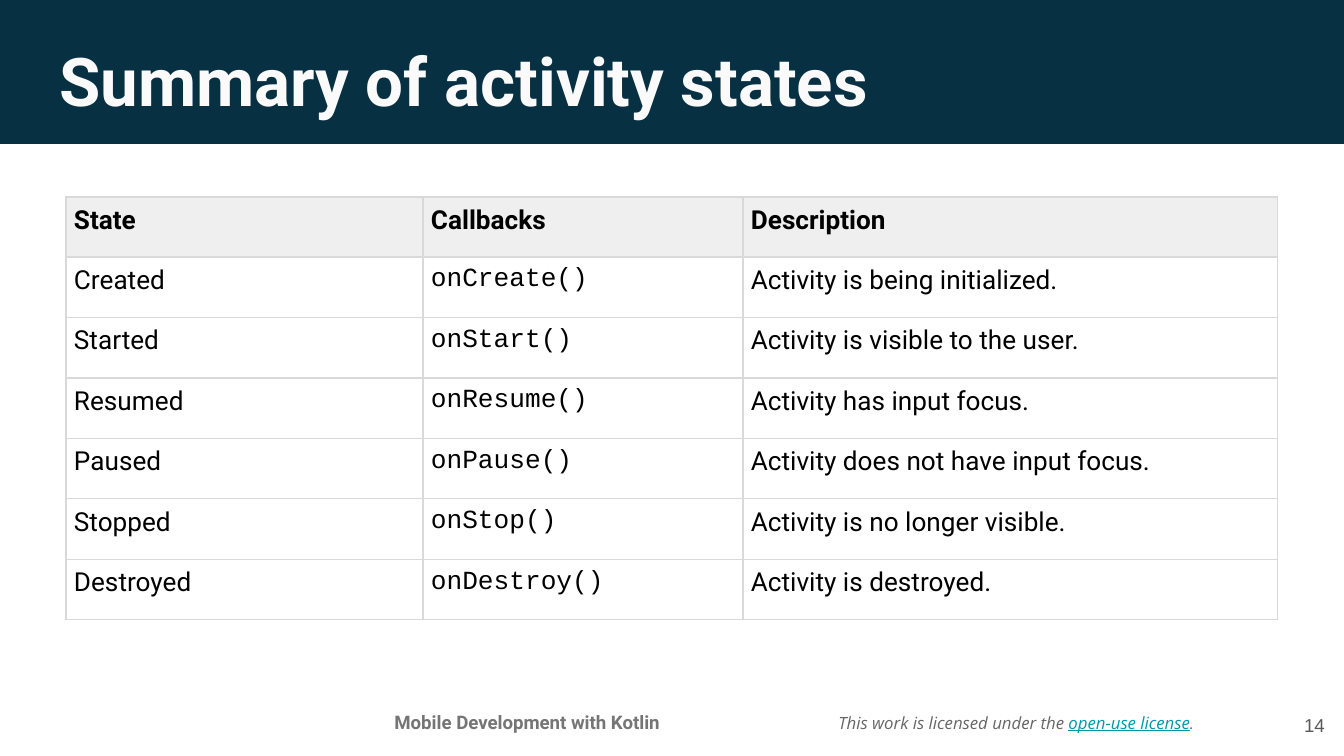
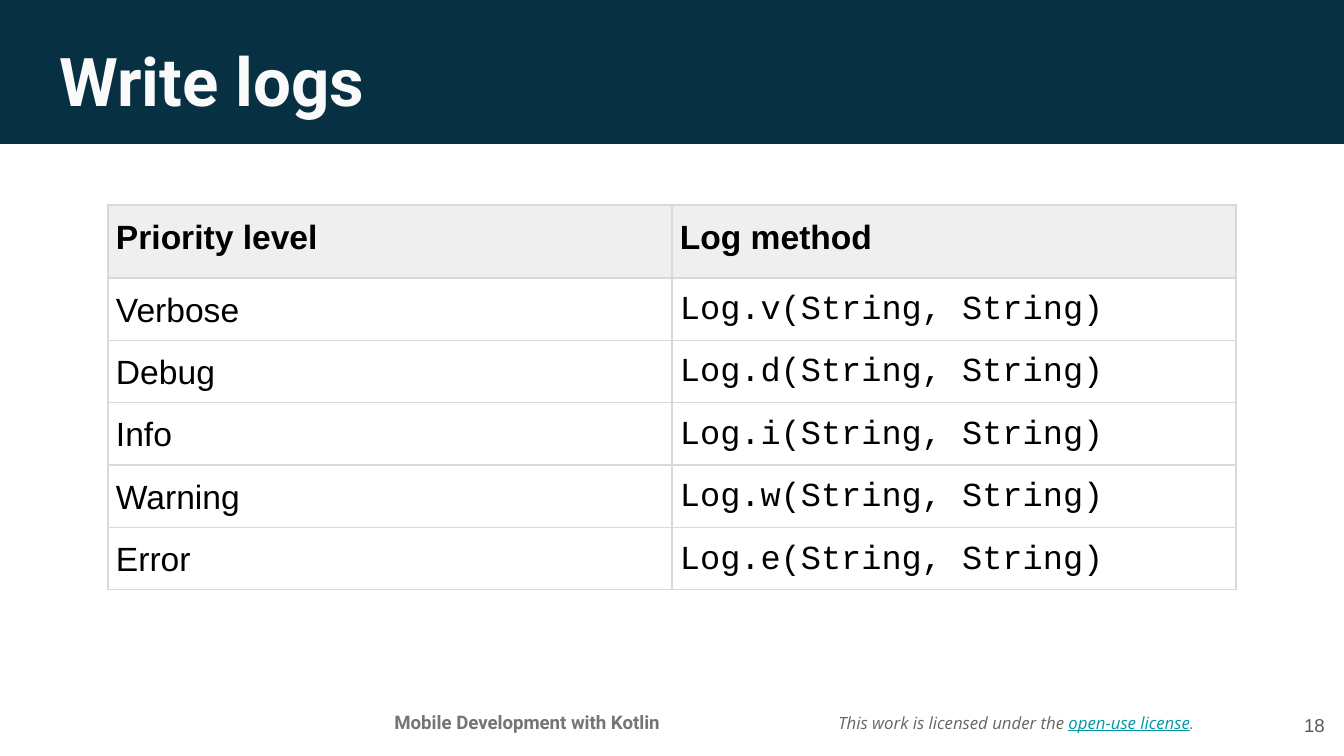
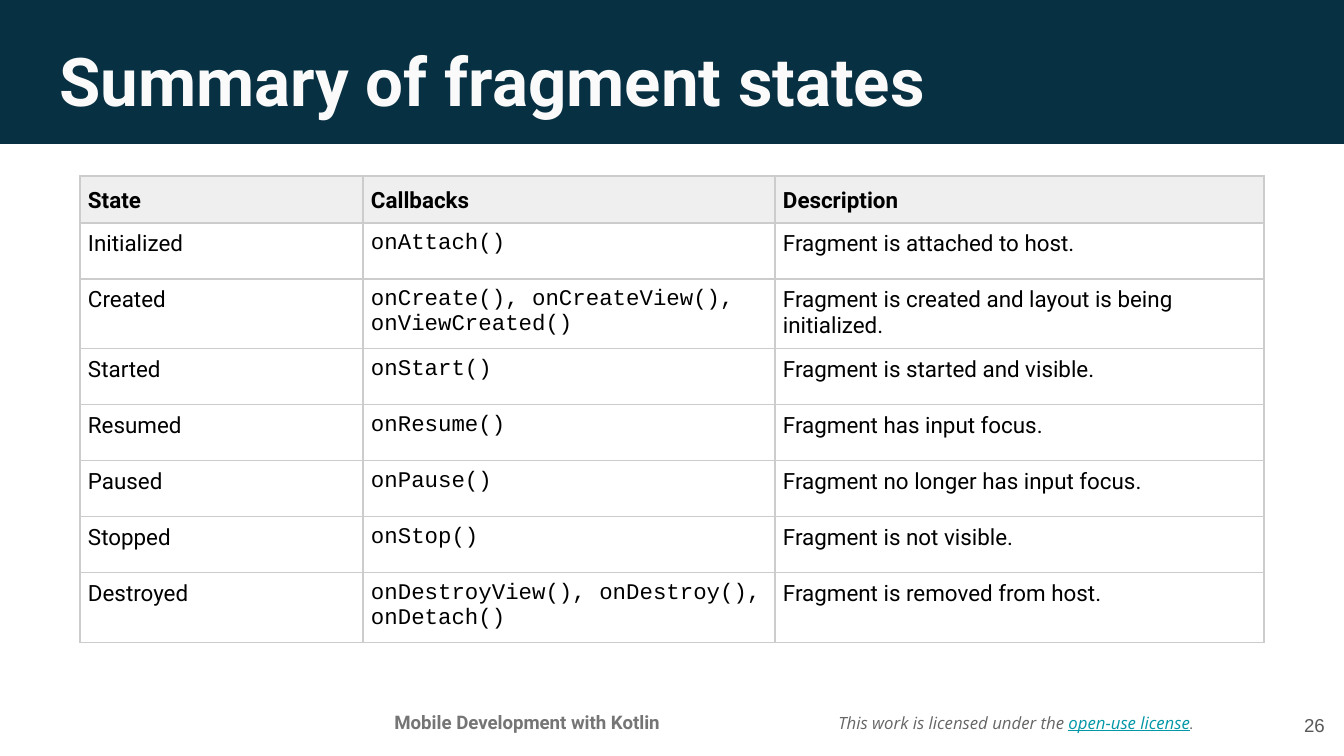
from lxml import etree
from pptx import Presentation, util as u
from pptx.dml.color import RGBColor
from pptx.enum import shapes, text
from pptx.oxml.ns import qn

EMU_PER_PX = 914400 / 134.4
SLIDE_W, SLIDE_H = 1344, 756

NAVY, OFF_WHITE, BLACK = "073042", "FAFAFA", "000000"
HEADER_FILL, GREY, FOOTER_GREY, NUMBER_GREY = "EFEFEF", "666666", "757575", "595959"
LINK = "0097A7"
SANS, MONO, PLAIN, NOTE = "Roboto", "Courier New", "Arial", "Open Sans"

TITLE = dict(name=SANS, size=36, color=OFF_WHITE, bold=True)
COURSE = dict(name=SANS, size=10, color=FOOTER_GREY, bold=True)
NUMBER = dict(name=PLAIN, size=10, color=NUMBER_GREY)
LICENSE = dict(name=NOTE, size=9, color=GREY, italic=True)

BAND_BOX = (-1, -5, 1346, 149)
TITLE_BOX = (46, 26, 1253, 85)
COURSE_BOX = (337, 700, 380, 43)
LICENSE_BOX = (825, 691, 395, 63)
NUMBER_BOX = (1257, 696, 81, 58)


def px(length):
    return u.Emu(round(length * EMU_PER_PX))


def rgb(color):
    return RGBColor.from_string(color)


def add_run(paragraph, words, style):
    run = paragraph.add_run()
    run.text = words
    for key, value in style.items():
        if key == "color":
            run.font.color.rgb = rgb(value)
        else:
            setattr(run.font, key, u.Pt(value) if key == "size" else value)


def add_label(slide, box, runs, align=text.PP_ALIGN.LEFT, anchor=text.MSO_ANCHOR.TOP):
    """Add a one-paragraph text box; runs are (words, style) pairs."""
    frame = slide.shapes.add_textbox(*map(px, box)).text_frame
    frame.word_wrap = True
    frame.vertical_anchor = anchor
    for side in ("left", "right", "top", "bottom"):
        setattr(frame, f"margin_{side}", u.Inches(0.1))
    paragraph = frame.paragraphs[0]
    paragraph.alignment = align
    for words, style in runs:
        add_run(paragraph, words, style)


def add_title_band(slide, title):
    band = slide.shapes.add_shape(shapes.MSO_SHAPE.RECTANGLE, *map(px, BAND_BOX))
    band.shadow.inherit = False
    band.fill.solid()
    band.fill.fore_color.rgb = rgb(NAVY)
    band.line.fill.background()
    add_label(slide, TITLE_BOX, [(title, TITLE)])


def add_footer(slide, number):
    middle = text.MSO_ANCHOR.MIDDLE
    add_label(slide, COURSE_BOX, [("Mobile Development with Kotlin", COURSE)],
              text.PP_ALIGN.CENTER)
    add_label(slide, LICENSE_BOX, [
        ("This work is licensed under the ", LICENSE),
        ("open-use license", LICENSE | dict(color=LINK, underline=True)),
        (".", LICENSE | dict(name=SANS)),
    ], anchor=middle)
    add_label(slide, NUMBER_BOX, [(str(number), NUMBER)], text.PP_ALIGN.RIGHT, middle)


def add_borders(cell, color):
    properties = cell._tc.get_or_add_tcPr()
    for side in ("lnL", "lnR", "lnT", "lnB"):
        line = etree.SubElement(properties, qn(f"a:{side}"), w=str(u.Pt(0.75)))
        fill = etree.SubElement(line, qn("a:solidFill"))
        etree.SubElement(fill, qn("a:srgbClr"), val=color)


def fill_cell(cell, words, style, spacing, border, is_header):
    for side in ("left", "right", "top", "bottom"):
        setattr(cell, f"margin_{side}", px(8))
    add_borders(cell, border)
    if is_header:
        cell.fill.solid()
        cell.fill.fore_color.rgb = rgb(HEADER_FILL)
    else:
        cell.fill.background()
    paragraph = cell.text_frame.paragraphs[0]
    for key, value in spacing.items():
        setattr(paragraph, key, value)
    add_run(paragraph, words, style)


def add_grid(slide, origin, columns, header_height, body_height, rows, fonts, size,
             border, header_spacing, body_spacing):
    """Add a table whose body rows share body_height equally; fonts go by column."""
    row_height = body_height / (len(rows) - 1)
    frame = slide.shapes.add_table(len(rows), len(columns), *map(
        px, (*origin, sum(columns), header_height + body_height)))
    table = frame.table
    table.first_row = table.horz_banding = False
    for column, width in zip(table.columns, columns):
        column.width = px(width)
    for index, entries in enumerate(rows):
        is_header = index == 0
        table.rows[index].height = px(header_height if is_header else row_height)
        spacing = header_spacing if is_header else body_spacing
        for column, (words, font) in enumerate(zip(entries, fonts)):
            style = dict(name=fonts[0] if is_header else font, size=size,
                         color=BLACK, bold=is_header)
            fill_cell(table.cell(index, column), words, style, spacing, border, is_header)


STATE_HEADER = ("State", "Callbacks", "Description")
ACTIVITY_STATES = [
    STATE_HEADER,
    ("Created", "onCreate()", "Activity is being initialized."),
    ("Started", "onStart()", "Activity is visible to the user."),
    ("Resumed", "onResume()", "Activity has input focus."),
    ("Paused", "onPause()", "Activity does not have input focus."),
    ("Stopped", "onStop()", "Activity is no longer visible."),
    ("Destroyed", "onDestroy()", "Activity is destroyed."),
]
LOG_LEVELS = [("Priority level", "Log method")] + [
    (level, f"Log.{level[0].lower()}(String, String)")
    for level in ("Verbose", "Debug", "Info", "Warning", "Error")
]
FRAGMENT_STATES = [
    STATE_HEADER,
    ("Initialized", "onAttach()", "Fragment is attached to host."),
    ("Created", "onCreate(), onCreateView(), onViewCreated()",
     "Fragment is created and layout is being initialized."),
    ("Started", "onStart()", "Fragment is started and visible."),
    ("Resumed", "onResume()", "Fragment has input focus."),
    ("Paused", "onPause()", "Fragment no longer has input focus."),
    ("Stopped", "onStop()", "Fragment is not visible."),
    ("Destroyed", "onDestroyView(), onDestroy(), onDetach()",
     "Fragment is removed from host."),
]

AFTER = dict(space_after=u.Pt(6))
LOOSE = dict(line_spacing=1.15)
SLIDES = [
    ("Summary of activity states", 14, dict(
        origin=(66, 197), columns=(357, 320, 535), header_height=60, body_height=363,
        rows=ACTIVITY_STATES, fonts=(SANS, MONO, SANS), size=14, border="D9D9D9",
        header_spacing=AFTER, body_spacing=AFTER)),
    ("Write logs", 18, dict(
        origin=(108, 205), columns=(564, 564), header_height=73, body_height=306,
        rows=LOG_LEVELS, fonts=(PLAIN, MONO), size=18, border="D9D9D9",
        header_spacing=LOOSE | dict(space_before=u.Pt(6)), body_spacing=LOOSE)),
    ("Summary of fragment states", 26, dict(
        origin=(80, 176), columns=(283, 412, 489), header_height=46, body_height=392,
        rows=FRAGMENT_STATES, fonts=(SANS, MONO, SANS), size=12, border="CCCCCC",
        header_spacing=LOOSE, body_spacing={})),
]


def main():
    deck = Presentation()
    deck.slide_width, deck.slide_height = px(SLIDE_W), px(SLIDE_H)
    blank = deck.slide_layouts[6]
    for title, number, grid in SLIDES:
        slide = deck.slides.add_slide(blank)
        add_title_band(slide, title)
        add_footer(slide, number)
        add_grid(slide, **grid)
    deck.save("out.pptx")


if __name__ == "__main__":
    main()
